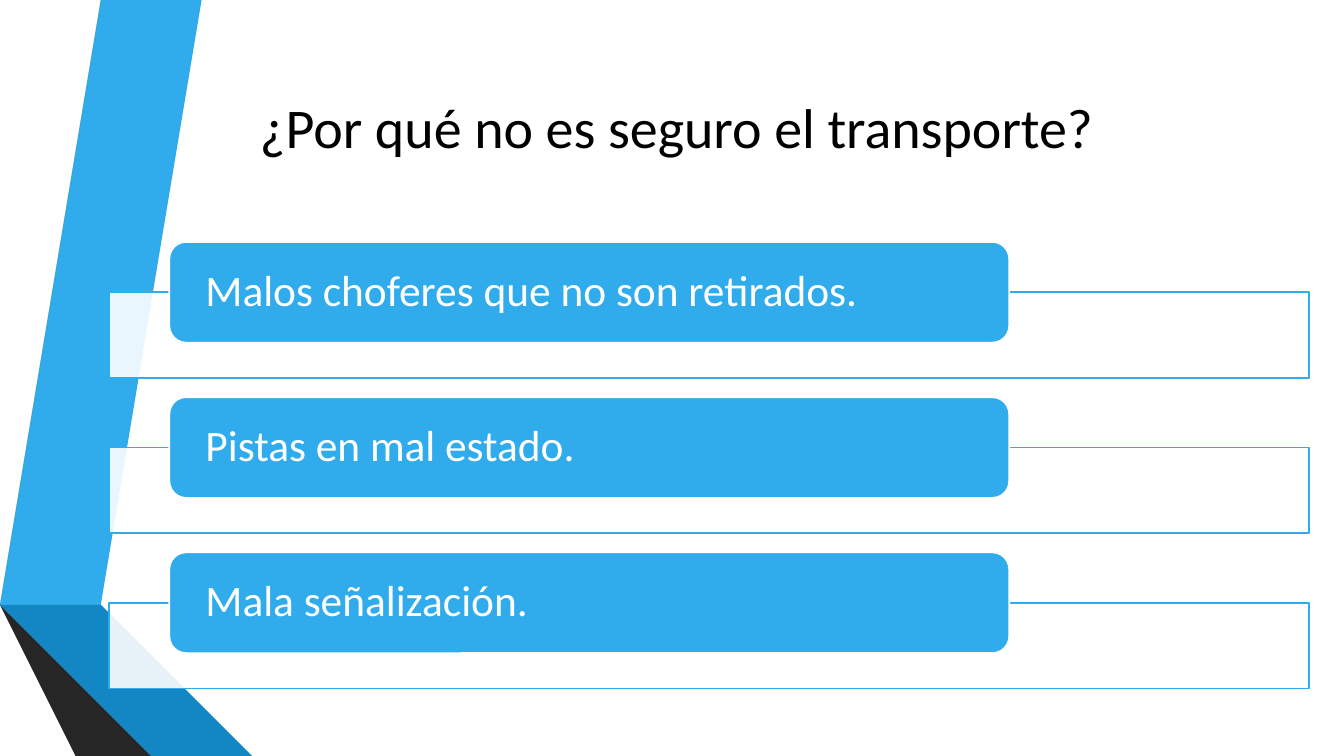
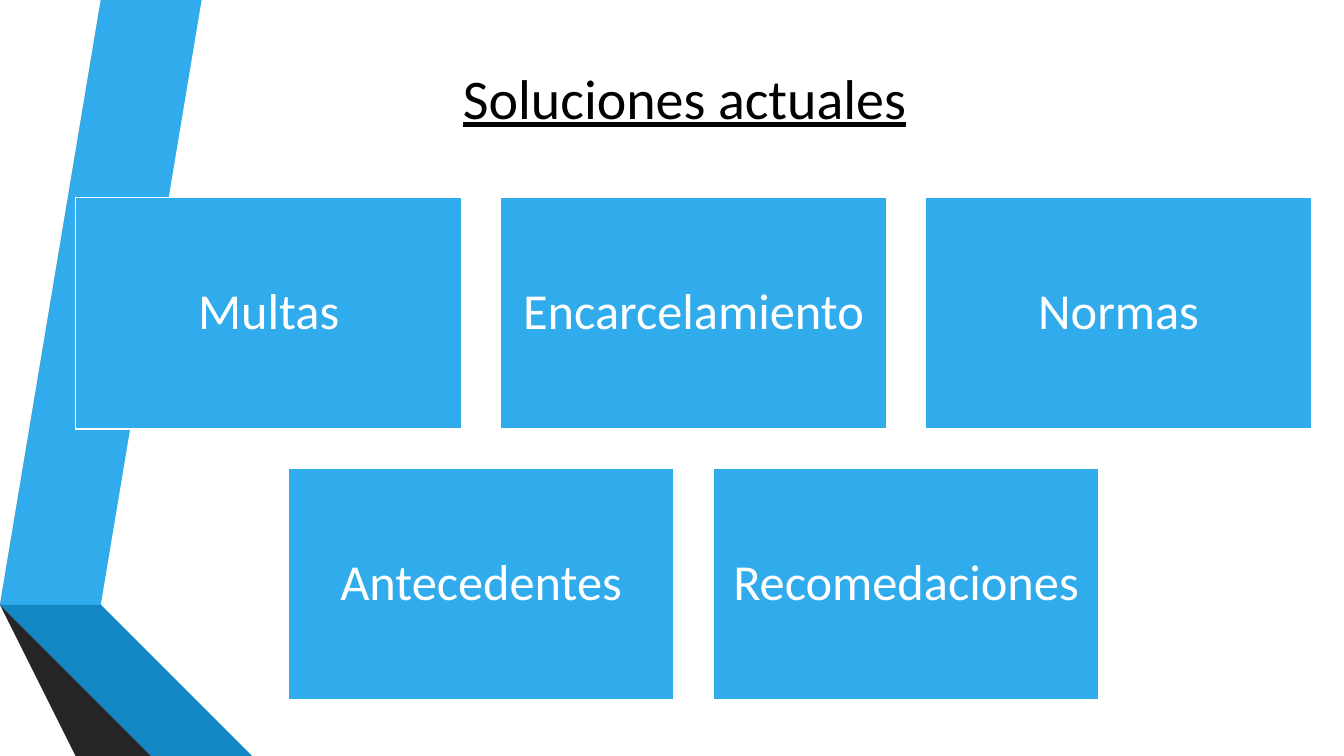
from lxml import etree
from pptx import Presentation
from pptx.dml.color import RGBColor
from pptx.enum.shapes import MSO_SHAPE
from pptx.enum.text import MSO_ANCHOR, PP_ALIGN
from pptx.oxml.ns import qn
from pptx.util import Inches, Pt

RECTANGLE = MSO_SHAPE.RECTANGLE
ROUNDED = MSO_SHAPE.ROUNDED_RECTANGLE
MIDDLE = MSO_ANCHOR.MIDDLE
LEFT, CENTER = PP_ALIGN.LEFT, PP_ALIGN.CENTER

COLORS = {
    "white": "FFFFFF", "black": "000000", "blue": "30ACEC",
    "mid_blue": "1287C3", "deep_blue": "0C5A82",
    "gray": "595959", "dark_gray": "404040", "charcoal": "262626",
}

# Corner points of each ribbon part, from back to front
RIBBONS = [
    ("blue", [(0.5, 5.78), (0.77, 5.83), (1.73, 0), (1.45, 0)]),
    ("gray", [(1.39, 0), (1.11, 0), (0.16, 5.73), (0.44, 5.77)]),
    ("charcoal", [(0.16, 5.73), (1.45, 7.5), (1.51, 7.5)]),
    ("deep_blue", [(0.5, 5.79), (2.08, 7.5), (2.14, 7.5)]),
    ("mid_blue", [(0.5, 5.79), (2.14, 7.5), (2.83, 7.5), (0.77, 5.83), (0.5, 5.78)]),
    ("dark_gray", [(2.02, 7.5), (0.48, 5.83), (0.44, 5.77), (0.16, 5.73), (1.51, 7.5)]),
]

TITLE = {"size": Pt(40), "color": "black", "align": CENTER, "inset": (0.1, 0.05), "spacing": 1.0}
BAR = {"size": Pt(31), "color": "white", "align": LEFT, "inset": (0.31, 0), "spacing": 0.9}
CARD = {"size": Pt(36), "color": "white", "align": CENTER, "inset": (0.15, 0.15), "spacing": 0.9}


def paint(shape, fill, line=None):
    """Give a shape a flat fill and an optional outline."""
    shape.shadow.inherit = False
    shape.fill.solid()
    shape.fill.fore_color.rgb = RGBColor.from_string(COLORS[fill])
    if line:
        shape.line.color.rgb = RGBColor.from_string(COLORS[line])
        shape.line.width = Pt(1.25)
    else:
        shape.line.fill.background()


def write(shape, text, style, underline=False):
    """Put one line of styled text into a shape."""
    frame = shape.text_frame
    side, edge = (Inches(inset) for inset in style["inset"])
    layout = {"word_wrap": True, "vertical_anchor": MIDDLE, "margin_left": side,
              "margin_right": side, "margin_top": edge, "margin_bottom": edge}
    for name, value in layout.items():
        setattr(frame, name, value)
    para = frame.paragraphs[0]
    para.alignment = style["align"]
    para.line_spacing = style["spacing"]
    span = para.add_run()
    span.text = text
    for name, value in {"name": "Calibri", "size": style["size"], "underline": underline}.items():
        setattr(span.font, name, value)
    span.font.color.rgb = RGBColor.from_string(COLORS[style["color"]])


deck = Presentation()
deck.slide_width, deck.slide_height = Inches(13.33), Inches(7.5)
blank = deck.slide_layouts[6]

# Shared ribbon and title
pages = []
for title, left, top, underline in [
    ("¿Por qué no es seguro el transporte?", 1.23, 0.29, False),
    ("Soluciones actuales", 1.31, 0, True),
]:
    page = deck.slides.add_slide(blank)
    for color, points in RIBBONS:
        outline = page.shapes.build_freeform(*points[0], scale=Inches(1))
        outline.add_line_segments(points[1:], close=True)
        paint(outline.convert_to_shape(), color)
    box = page.shapes.add_textbox(Inches(left), Inches(top), Inches(10.96), Inches(1.92))
    write(box, title, TITLE, underline)
    pages.append(page)
causes_page, solutions_page = pages

# Slide 1: causes as bars over translucent frames
causes = ["Malos choferes que no son retirados.", "Pistas en mal estado.", "Mala señalización."]
for row, cause in enumerate(causes):
    top = 2.4 + row * 1.54
    frame_box = causes_page.shapes.add_shape(
        RECTANGLE, Inches(1.08), Inches(top + 0.5), Inches(11.9), Inches(0.85))
    paint(frame_box, "white", "blue")
    fill_color = frame_box.fill._xPr.find(qn("a:solidFill"))[0]
    etree.SubElement(fill_color, qn("a:alpha"), val="90000")
    bar = causes_page.shapes.add_shape(
        ROUNDED, Inches(1.68), Inches(top), Inches(8.33), Inches(1))
    paint(bar, "blue", "white")
    write(bar, cause, BAR)

# Slide 2: solutions as cards, each row centred
card_width, card_height, gap = 3.83, 2.3, 0.385
grid_center = 6.88
solutions = [["Multas", "Encarcelamiento", "Normas"], ["Antecedentes", "Recomedaciones"]]
for row, names in enumerate(solutions):
    row_width = len(names) * (card_width + gap) - gap
    for column, name in enumerate(names):
        left = grid_center - row_width / 2 + column * (card_width + gap)
        top = 1.96 + row * (card_height + gap)
        card = solutions_page.shapes.add_shape(
            RECTANGLE, Inches(left), Inches(top), Inches(card_width), Inches(card_height))
        paint(card, "blue", "white")
        write(card, name, CARD)

deck.save("out.pptx")
